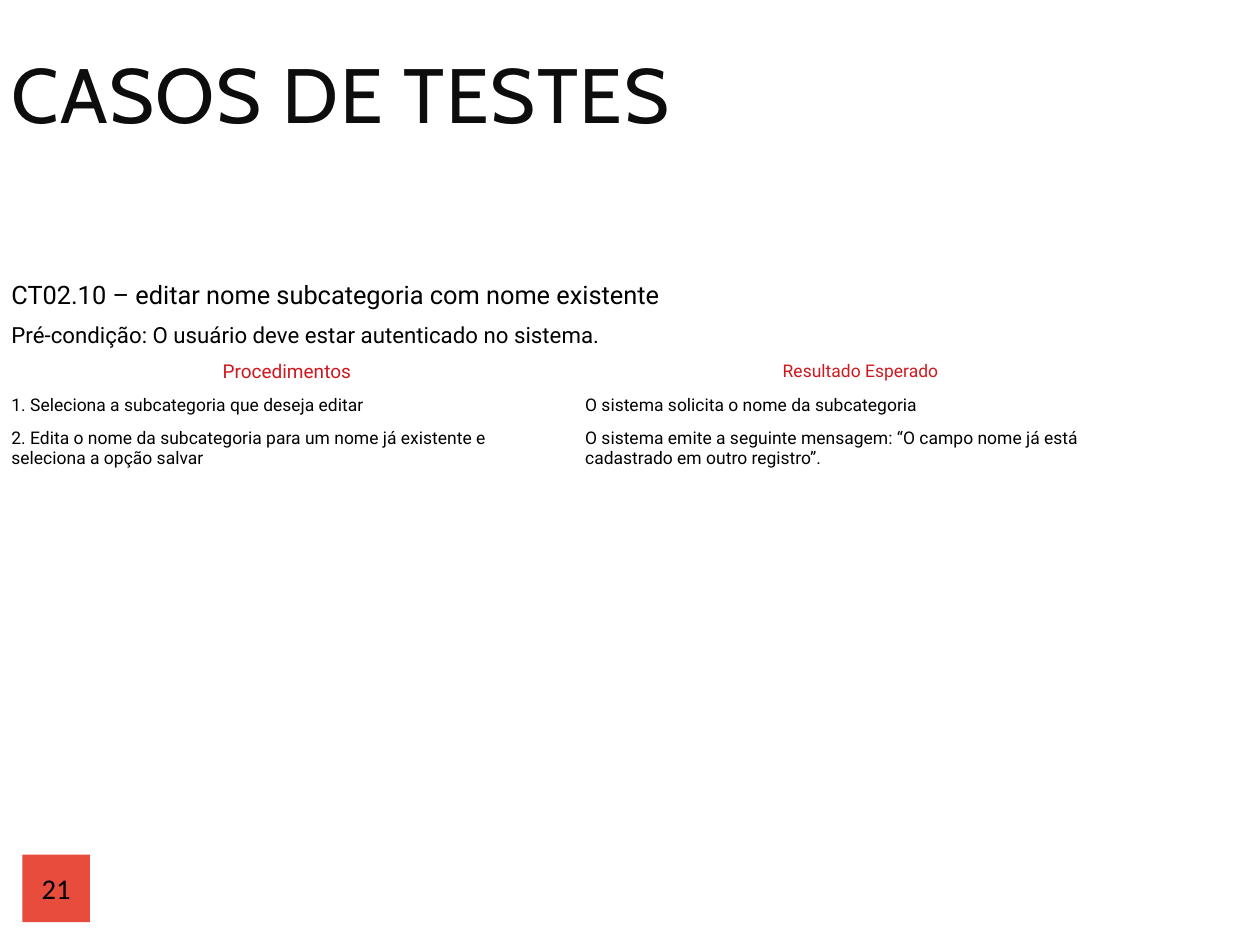
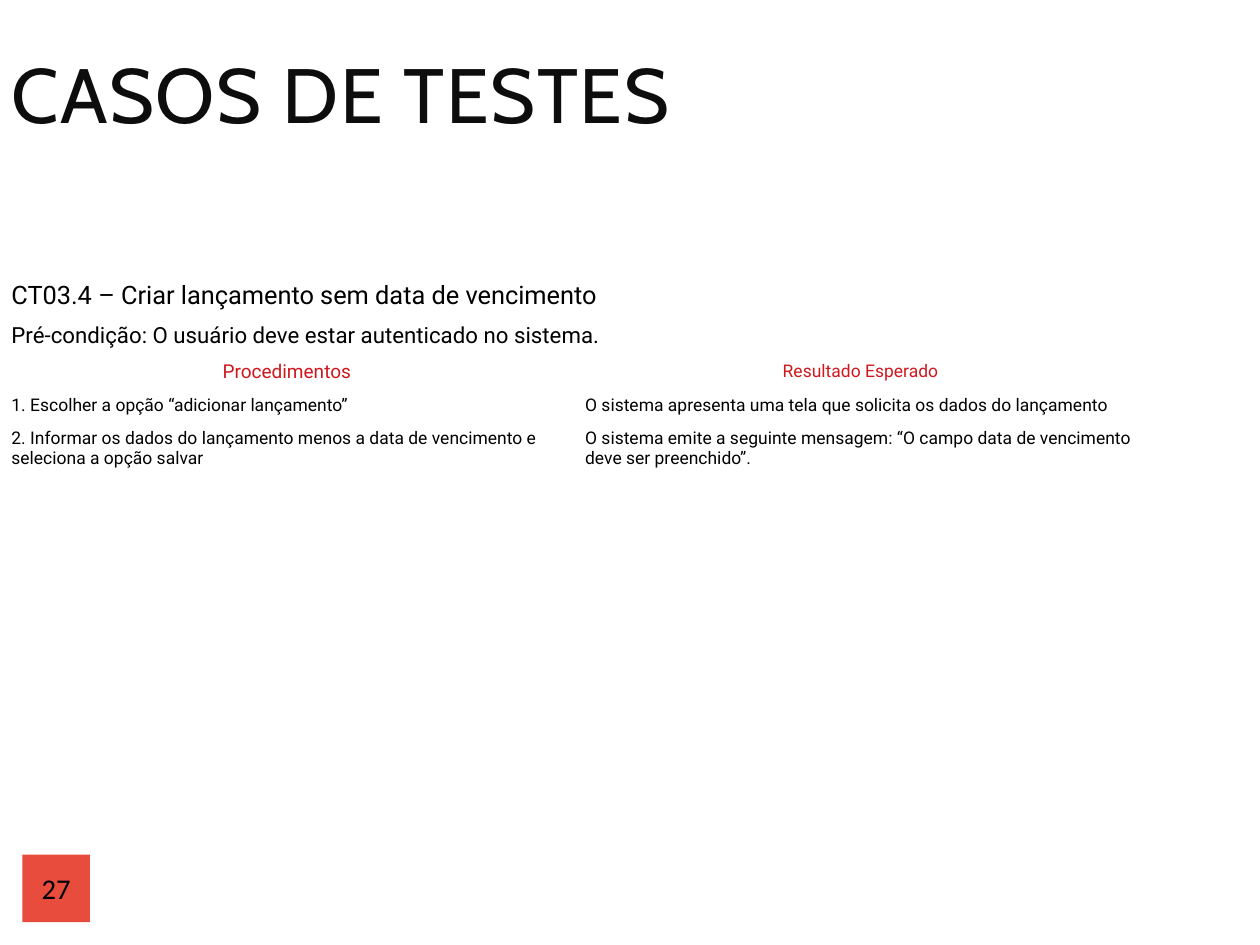
"""Build two test-case slides, each with a title, a case table and a page number."""
from pptx import Presentation
from pptx import util as u
from pptx.dml.color import RGBColor
from pptx.enum import shapes, text

COLORS = {"badge": "E74C3C", "title": "0D0D0D", "body": "000000", "heading": "CE181E"}
LEFT, CENTER = text.PP_ALIGN.LEFT, text.PP_ALIGN.CENTER
ROW_HEIGHTS = (26, 23, 21, 19.5, 31.5)
COLUMN_WIDTH = 361.4
TABLE_HEIGHT = 139
PRECONDITION = "Pré-condição: O usuário deve estar autenticado no sistema."

CASES = (
    (21, "CT02.10 – editar nome subcategoria com nome existente", (
        ("1. Seleciona a subcategoria que deseja editar",
         "O sistema solicita o nome da subcategoria"),
        ("2. Edita o nome da subcategoria para um nome já existente e seleciona a opção salvar",
         "O sistema emite a seguinte mensagem: “O campo nome já está cadastrado em outro registro”."),
    )),
    (27, "CT03.4 – Criar lançamento sem data de vencimento", (
        ("1. Escolher a opção “adicionar lançamento”",
         "O sistema apresenta uma tela que solicita os dados do lançamento"),
        ("2. Informar os dados do lançamento menos a data de vencimento e seleciona a opção salvar",
         "O sistema emite a seguinte mensagem: “O campo data de vencimento deve ser preenchido”."),
    )),
)


def write(frame, words, size=11, font="Roboto", color="body", align=LEFT, line=None, spacing=None):
    frame.word_wrap = True
    para = frame.paragraphs[0]
    para.alignment = align
    if line:
        para.line_spacing = line
    span = para.add_run()
    span.text = words
    span.font.size = u.Pt(size)
    span.font.name = font
    span.font.color.rgb = RGBColor.from_string(COLORS[color])
    if spacing:
        span.font._element.set("spc", str(round(spacing * 100)))


def add_title(page, words):
    box = page.shapes.add_textbox(u.Pt(0), u.Pt(28), u.Pt(737), u.Pt(71))
    box.text_frame.vertical_anchor = text.MSO_ANCHOR.MIDDLE
    write(box.text_frame, words, size=48.5, font="Cabin", color="title", line=0.8, spacing=1.1)


def add_badge(page, number):
    badge = page.shapes.add_shape(
        shapes.MSO_SHAPE.RECTANGLE, u.Pt(14.15), u.Pt(538.4), u.Pt(42.5), u.Pt(42.5))
    badge.shadow.inherit = False
    badge.fill.solid()
    badge.fill.fore_color.rgb = RGBColor.from_string(COLORS["badge"])
    badge.line.fill.background()
    frame = badge.text_frame
    frame.margin_left = frame.margin_right = frame.margin_top = frame.margin_bottom = 0
    frame.vertical_anchor = text.MSO_ANCHOR.MIDDLE
    write(frame, str(number), size=18, font="Calibri", align=CENTER)


def add_case_table(page, name, steps):
    holder = page.shapes.add_table(
        len(ROW_HEIGHTS), 2, u.Pt(0), u.Pt(173.5), u.Pt(2 * COLUMN_WIDTH), u.Pt(TABLE_HEIGHT))
    table = holder.table
    table.first_row = table.horz_banding = False
    for row, height in zip(table.rows, ROW_HEIGHTS):
        row.height = u.Pt(height)
    holder.height = u.Pt(TABLE_HEIGHT)
    for cell in table.iter_cells():
        cell.fill.background()
    for index, (words, size) in enumerate(((name, 16), (PRECONDITION, 14))):
        first, covered = table.cell(index, 0), table.cell(index, 1)
        first.merge(covered)
        covered.margin_top = covered.margin_bottom = 0
        write(first.text_frame, words, size=size)
    for column, (words, size) in enumerate((("Procedimentos", 12), ("Resultado Esperado", 11))):
        write(table.cell(2, column).text_frame, words, size=size, color="heading", align=CENTER)
    for index, step in enumerate(steps, start=3):
        for column, words in enumerate(step):
            write(table.cell(index, column).text_frame, words)


def main():
    deck = Presentation()
    deck.slide_width, deck.slide_height = u.Pt(793.7), u.Pt(595.28)
    for number, name, steps in CASES:
        page = deck.slides.add_slide(deck.slide_layouts[6])
        add_badge(page, number)
        add_title(page, "CASOS DE TESTES")
        add_case_table(page, name, steps)
    deck.save("out.pptx")


if __name__ == "__main__":
    main()
